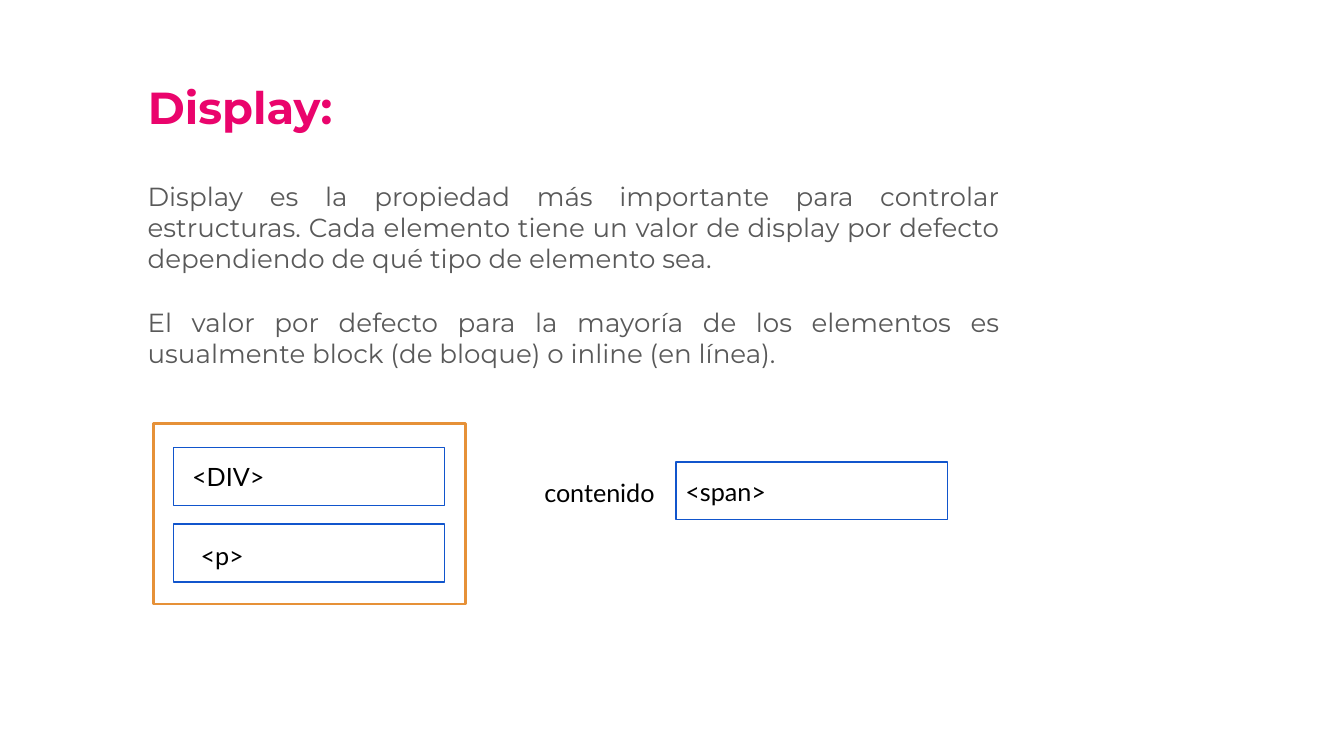
from dataclasses import dataclass

from pptx import Presentation
from pptx.dml.color import RGBColor
from pptx.enum.shapes import MSO_SHAPE
from pptx.enum.text import MSO_ANCHOR, MSO_AUTO_SIZE, PP_ALIGN
from pptx.slide import Slide
from pptx.text.text import TextFrame
from pptx.util import Pt

RECT = MSO_SHAPE.RECTANGLE
LEFT, JUSTIFY = PP_ALIGN.LEFT, PP_ALIGN.JUSTIFY
TOP, MIDDLE = MSO_ANCHOR.TOP, MSO_ANCHOR.MIDDLE
NO_FIT = MSO_AUTO_SIZE.NONE


@dataclass(frozen=True)
class TextStyle:
    font: str
    size: float
    color: str
    bold: bool = False
    align: PP_ALIGN = LEFT
    anchor: MSO_ANCHOR = TOP
    inset: float = 7.2
    gap: float = 0


@dataclass(frozen=True)
class Theme:
    title: TextStyle = TextStyle("Montserrat", 24, "EA046C", bold=True, anchor=MIDDLE)
    body: TextStyle = TextStyle("Montserrat", 14, "595959", align=JUSTIFY, gap=17)
    label: TextStyle = TextStyle("Lato", 13.5, "000000", inset=5)
    container: str = "E69138"
    element: str = "1155CC"


@dataclass(frozen=True)
class Box:
    left: float
    top: float
    width: float
    height: float

    def lengths(self) -> tuple[Pt, Pt, Pt, Pt]:
        return Pt(self.left), Pt(self.top), Pt(self.width), Pt(self.height)


@dataclass(frozen=True)
class Label:
    text: str
    box: Box


THEME = Theme()
TITLE_BOX = Box(72, 23.8, 224.6, 66.2)
BODY_BOX = Box(72, 89.3, 470.9, 105.8)
PARAGRAPHS = [
    "Display es la propiedad más importante para controlar estructuras. Cada "
    "elemento tiene un valor de display por defecto dependiendo de qué tipo de "
    "elemento sea.",
    "El valor por defecto para la mayoría de los elementos es usualmente block "
    "(de bloque) o inline (en línea).",
]
CONTAINER = Box(82.3, 226.9, 167, 96.7)
ELEMENT_W, ELEMENT_H = 145.4, 31
ELEMENTS = [
    Box(left, top, ELEMENT_W, ELEMENT_H)
    for left, top in [(92.9, 239.8), (92.9, 280.8), (362.2, 247.5)]
]
LABELS = [
    Label("<DIV>", Box(98, 242, 53.3, 23)),
    Label("<p>", Box(102.5, 284.5, 53.3, 23)),
    Label("<span>", Box(362.2, 250.4, 65.5, 23)),
    Label("contenido", Box(286.6, 250.6, 73.4, 23)),
]


def write(tf: TextFrame, paragraphs: list[str], style: TextStyle) -> None:
    tf.word_wrap = True
    tf.auto_size = NO_FIT
    tf.vertical_anchor = style.anchor
    tf.margin_left = tf.margin_right = Pt(style.inset)
    tf.margin_top = tf.margin_bottom = Pt(style.inset)
    for i, text in enumerate(paragraphs):
        p = tf.paragraphs[0] if i == 0 else tf.add_paragraph()
        p.text = text
        p.alignment = style.align
        p.space_before = Pt(style.gap if i else 0)
        p.font.name = style.font
        p.font.size = Pt(style.size)
        p.font.bold = style.bold
        p.font.color.rgb = RGBColor.from_string(style.color)


def add_text(s: Slide, box: Box, paragraphs: list[str], style: TextStyle) -> None:
    write(s.shapes.add_textbox(*box.lengths()).text_frame, paragraphs, style)


def add_title(s: Slide, box: Box, text: str, style: TextStyle) -> None:
    sp = s.shapes.title
    sp.left, sp.top, sp.width, sp.height = box.lengths()
    write(sp.text_frame, [text], style)


def add_outline(s: Slide, box: Box, color: str, weight: float) -> None:
    sp = s.shapes.add_shape(RECT, *box.lengths())
    sp.shadow.inherit = False
    sp.fill.background()
    sp.line.color.rgb = RGBColor.from_string(color)
    sp.line.width = Pt(weight)


def main() -> None:
    prs = Presentation()
    prs.slide_width, prs.slide_height = Pt(720), Pt(405)
    s = prs.slides.add_slide(prs.slide_layouts.get_by_name("Title Only"))

    add_title(s, TITLE_BOX, "Display:", THEME.title)
    add_text(s, BODY_BOX, PARAGRAPHS, THEME.body)
    add_outline(s, CONTAINER, THEME.container, 1.5)
    for box in ELEMENTS:
        add_outline(s, box, THEME.element, 0.75)
    for label in LABELS:
        add_text(s, label.box, [label.text], THEME.label)

    prs.save("out.pptx")


if __name__ == "__main__":
    main()
